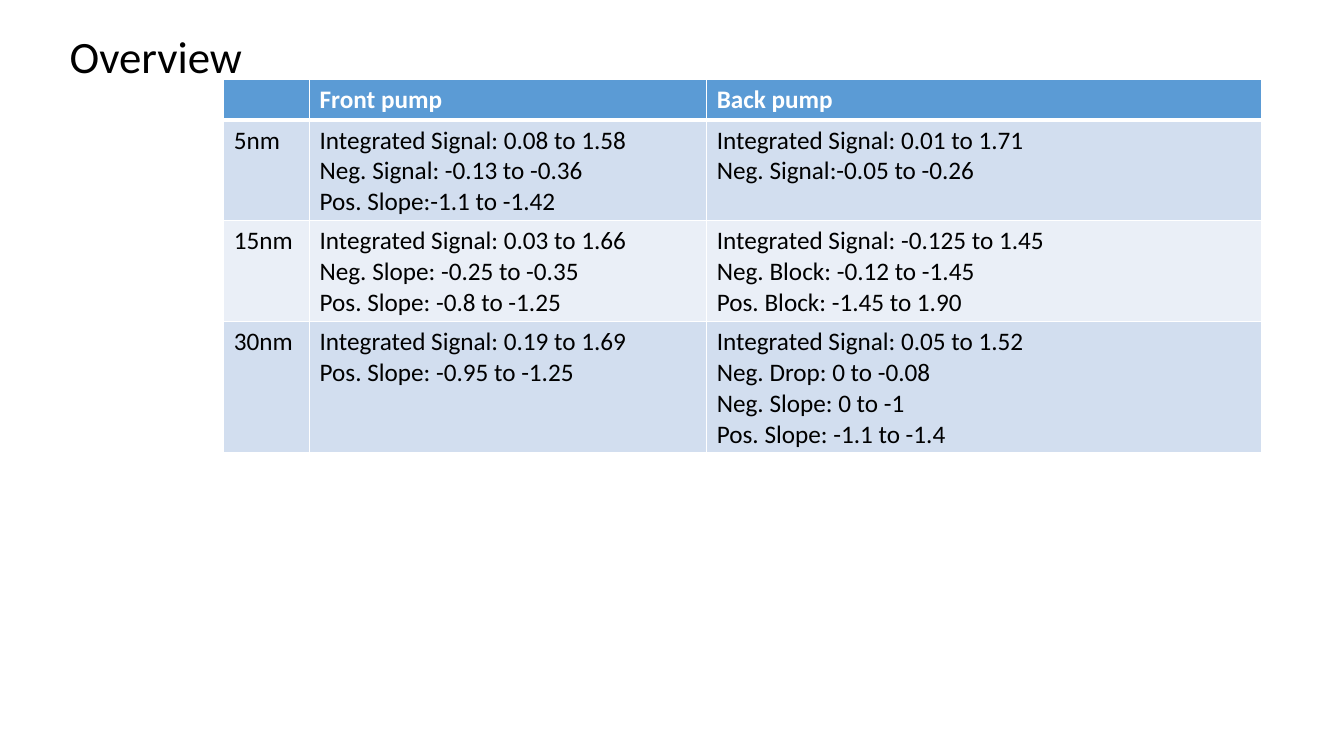
import pptx
import pptx.util
import pptx.dml.color
import pptx.enum.text
import pptx.oxml.ns
import lxml.etree

Inches = pptx.util.Inches
COLORS = {
    "text": "000000",
    "white": "FFFFFF",
    "header": "5B9BD5",
    "band_dark": "D2DEEF",
    "band_light": "EAEFF7",
}


class SlideBuilder:
    """Holds the style and the current slide."""

    font_name = "Calibri"

    def __init__(self, slide):
        self.slide = slide

    def color(self, name):
        return pptx.dml.color.RGBColor.from_string(COLORS[name])

    def style(self, paragraph, size, color="text", bold=False):
        font = paragraph.font
        font.name, font.size, font.bold = self.font_name, pptx.util.Pt(size), bold
        font.color.rgb = self.color(color)
        paragraph.alignment = pptx.enum.text.PP_ALIGN.LEFT

    def title(self, text, left, top, width, height):
        title = self.slide.shapes.title
        title.left, title.top = Inches(left), Inches(top)
        title.width, title.height = Inches(width), Inches(height)
        frame = title.text_frame
        frame.text = text
        frame.word_wrap = False
        frame.auto_size = pptx.enum.text.MSO_AUTO_SIZE.SHAPE_TO_FIT_TEXT
        frame.vertical_anchor = pptx.enum.text.MSO_ANCHOR.TOP
        self.style(frame.paragraphs[0], 32)

    def borders(self, cell, top, bottom):
        properties = cell._tc.get_or_add_tcPr()
        qn = pptx.oxml.ns.qn
        for side, points in {"L": 1, "R": 1, "T": top, "B": bottom}.items():
            line = lxml.etree.SubElement(
                properties, qn(f"a:ln{side}"), w=str(pptx.util.Pt(points)))
            fill = lxml.etree.SubElement(line, qn("a:solidFill"))
            lxml.etree.SubElement(fill, qn("a:srgbClr"), val=COLORS["white"])

    def table(self, rows, left, top, column_widths):
        # Row height follows the largest number of lines in the row
        heights = [0.1 + 0.3 * max(text.count("\n") + 1 for text in row) for row in rows]
        table = self.slide.shapes.add_table(
            len(rows), len(column_widths), Inches(left), Inches(top),
            Inches(sum(column_widths)), Inches(sum(heights))).table
        for column, width in zip(table.columns, column_widths):
            column.width = Inches(width)
        for r, (row, height) in enumerate(zip(rows, heights)):
            table.rows[r].height = Inches(height)
            is_header = r == 0
            band = "header" if is_header else "band_dark" if r % 2 else "band_light"
            for c, text in enumerate(row):
                cell = table.cell(r, c)
                cell.text = text
                self.borders(cell, top=3 if r == 1 else 1, bottom=3 if is_header else 1)
                cell.fill.solid()
                cell.fill.fore_color.rgb = self.color(band)
                for paragraph in cell.text_frame.paragraphs:
                    self.style(paragraph, 18, "white" if is_header else "text", is_header)


presentation = pptx.Presentation()
presentation.slide_width = Inches(13.33)
presentation.slide_height = Inches(7.5)
title_only = presentation.slide_layouts[5]
overview = SlideBuilder(presentation.slides.add_slide(title_only))

# Title
overview.title("Overview", 0.59, 0.23, 1.93, 0.64)

# Signal ranges by thickness and pump side
signal_ranges = [
    ("", "Front pump", "Back pump"),
    ("5nm",
     "Integrated Signal: 0.08 to 1.58\nNeg. Signal: -0.13 to -0.36\nPos. Slope:-1.1 to -1.42",
     "Integrated Signal: 0.01 to 1.71\nNeg. Signal:-0.05 to -0.26"),
    ("15nm",
     "Integrated Signal: 0.03 to 1.66\nNeg. Slope: -0.25 to -0.35\nPos. Slope: -0.8 to -1.25",
     "Integrated Signal: -0.125 to 1.45\nNeg. Block: -0.12 to -1.45\nPos. Block: -1.45 to 1.90"),
    ("30nm",
     "Integrated Signal: 0.19 to 1.69\nPos. Slope: -0.95 to -1.25",
     "Integrated Signal: 0.05 to 1.52\nNeg. Drop: 0 to -0.08\n"
     "Neg. Slope: 0 to -1\nPos. Slope: -1.1 to -1.4"),
]
overview.table(signal_ranges, 2.22, 0.79, [0.85, 3.94, 5.5])

presentation.save("out.pptx")
